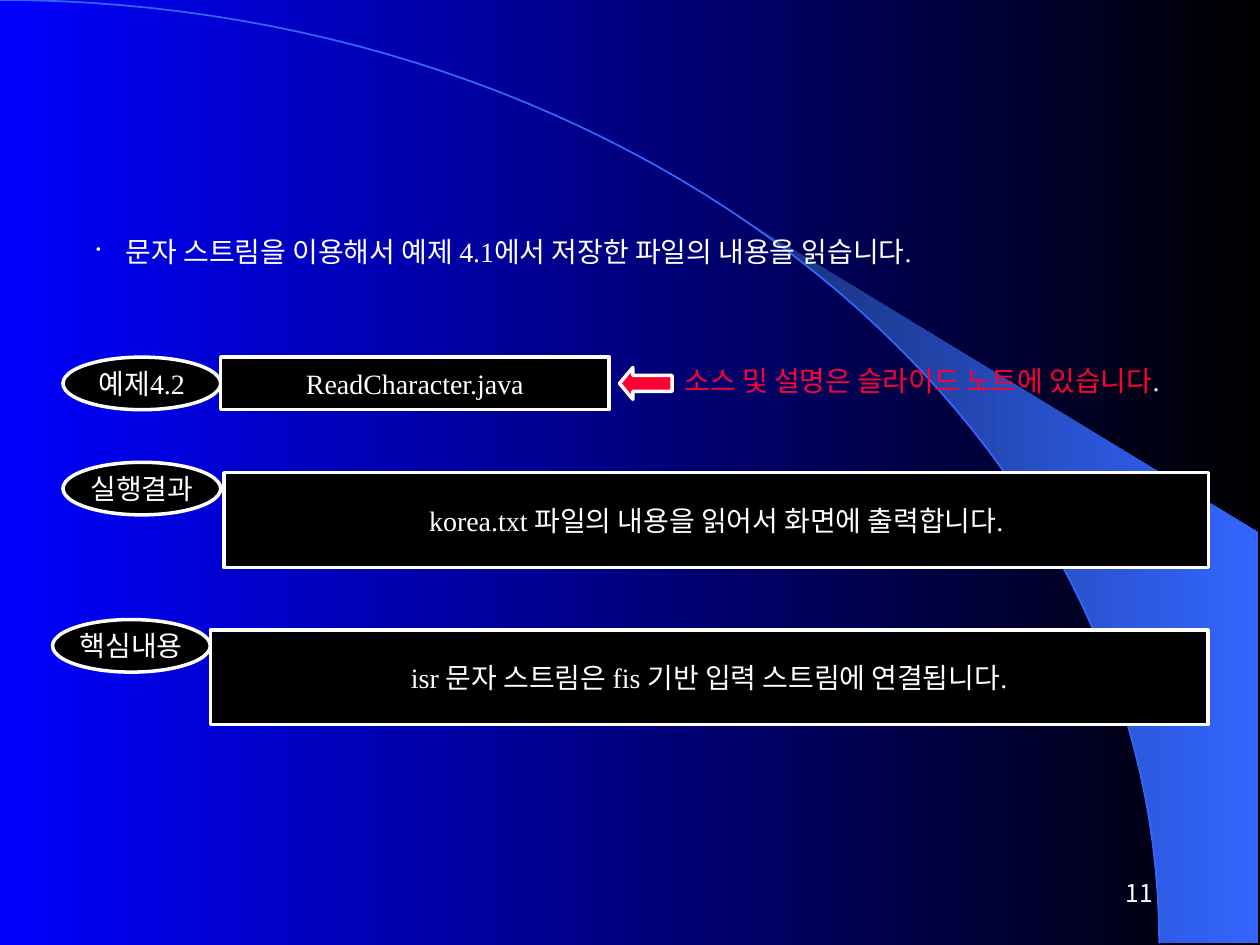
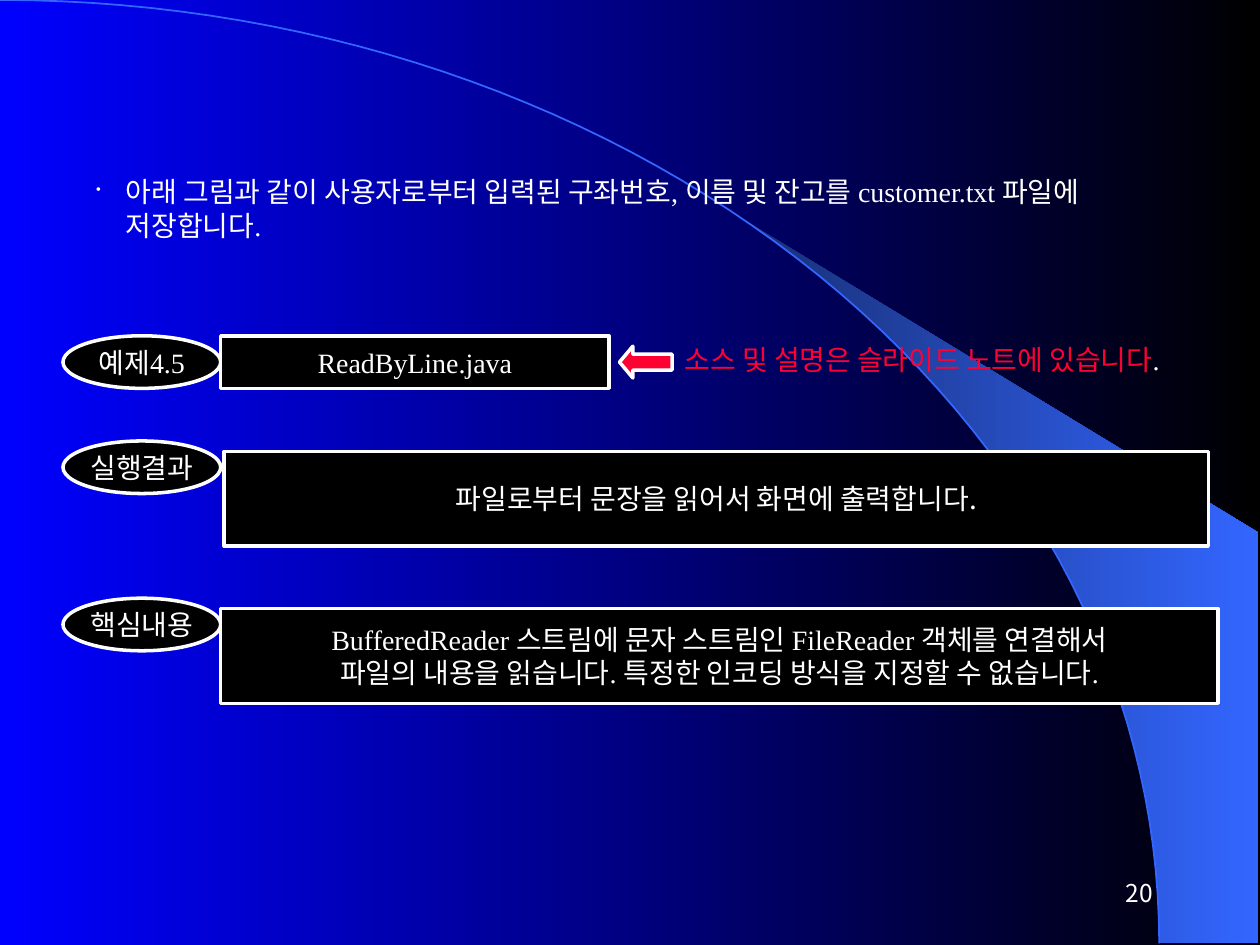
import math
from dataclasses import dataclass

from lxml import etree
from pptx import Presentation
from pptx.dml.color import RGBColor
from pptx.enum.shapes import MSO_SHAPE
from pptx.enum.text import MSO_ANCHOR, PP_ALIGN
from pptx.oxml.ns import qn
from pptx.util import Cm, Length, Pt

ELLIPSE = MSO_SHAPE.OVAL
RECTANGLE = MSO_SHAPE.RECTANGLE
LEFT_ARROW = MSO_SHAPE.LEFT_ARROW
TOP, MIDDLE = MSO_ANCHOR.TOP, MSO_ANCHOR.MIDDLE
LEFT, CENTER, RIGHT = PP_ALIGN.LEFT, PP_ALIGN.CENTER, PP_ALIGN.RIGHT


@dataclass(frozen=True)
class Theme:
    blue: RGBColor = RGBColor(0x00, 0x00, 0xFF)
    black: RGBColor = RGBColor(0x00, 0x00, 0x00)
    white: RGBColor = RGBColor(0xFF, 0xFF, 0xFF)
    red: RGBColor = RGBColor(0xFF, 0x00, 0x33)
    navy: RGBColor = RGBColor(0x18, 0x2F, 0x76)
    sky: RGBColor = RGBColor(0x33, 0x66, 0xFF)
    latin_font: str = "Times New Roman"
    korean_font: str = "Noto Sans CJK KR"
    body_size: Length = Pt(16)
    number_size: Length = Pt(14)
    outline: Length = Pt(2)
    arc_line: Length = Pt(1)


THEME = Theme()


@dataclass(frozen=True)
class Box:
    left: Length
    top: Length
    width: Length
    height: Length

    def edges(self) -> tuple[Length, Length, Length, Length]:
        return self.left, self.top, self.width, self.height


@dataclass(frozen=True)
class Run:
    text: str
    color: RGBColor = THEME.white
    font: str = THEME.latin_font
    size: Length = THEME.body_size


@dataclass(frozen=True)
class ExampleSlide:
    number: str
    summary: str
    summary_top: Length
    summary_height: Length
    example: str
    source_file: str
    rows_top: Length
    result: Run
    key_points: list[str]
    key_shift: Length = Cm(0)


EXAMPLES = [
    ExampleSlide(
        number="11",
        summary="문자 스트림을 이용해서 예제 4.1에서 저장한 파일의 내용을 읽습니다.",
        summary_top=Cm(4.6),
        summary_height=Cm(0.94),
        example="예제4.2",
        source_file="ReadCharacter.java",
        rows_top=Cm(7.2),
        result=Run("korea.txt 파일의 내용을 읽어서 화면에 출력합니다."),
        key_points=["isr 문자 스트림은 fis 기반 입력 스트림에 연결됩니다."],
        key_shift=Cm(-0.21),
    ),
    ExampleSlide(
        number="20",
        summary="아래 그림과 같이 사용자로부터 입력된 구좌번호, 이름 및 잔고를 "
                "customer.txt 파일에 저장합니다.",
        summary_top=Cm(3.39),
        summary_height=Cm(1.62),
        example="예제4.5",
        source_file="ReadByLine.java",
        rows_top=Cm(6.77),
        result=Run("파일로부터 문장을 읽어서 화면에 출력합니다.", font=THEME.korean_font),
        key_points=[
            "BufferedReader 스트림에 문자 스트림인 FileReader 객체를 연결해서",
            "파일의 내용을 읽습니다. 특정한 인코딩 방식을 지정할 수 없습니다.",
        ],
    ),
]

ARC_WIDTH, ARC_HEIGHT = Cm(23.37), Cm(19.02)
BAND_RIGHT, BAND_RIGHT_TOP = Cm(25.37), Cm(10.74)
BAND_START = math.asin(0.64)

BADGE_LEFT, BADGE_WIDTH, ROW_HEIGHT = Cm(1.27), Cm(3.18), Cm(1.06)
PANEL_LEFT = BADGE_LEFT + BADGE_WIDTH
PANEL_HEIGHT = Cm(1.91)
STEP_DOWN = Cm(0.21)
RESULT_OFFSET, KEY_OFFSET = Cm(2.12), Cm(5.29)


def fill_gradient(fill, first: RGBColor, last: RGBColor) -> None:
    fill.gradient()
    fill.gradient_angle = 0
    for stop, color, position in zip(fill.gradient_stops, (first, last), (0, 1)):
        stop.color.rgb = color
        stop.position = position


def write_text(shape, paragraphs: list[list[Run]], alignment, anchor=MIDDLE, wrap=True) -> None:
    frame = shape.text_frame
    frame_format = {
        "word_wrap": wrap,
        "vertical_anchor": anchor,
        "margin_left": Cm(0.25),
        "margin_right": Cm(0.25),
        "margin_top": Cm(0.13),
        "margin_bottom": Cm(0.13),
    }
    for name, value in frame_format.items():
        setattr(frame, name, value)
    for index, runs in enumerate(paragraphs):
        paragraph = frame.add_paragraph() if index else frame.paragraphs[0]
        paragraph.alignment = alignment
        for item in runs:
            run = paragraph.add_run()
            run.text = item.text
            for name, value in {"name": item.font, "size": item.size}.items():
                setattr(run.font, name, value)
            run.font.color.rgb = item.color
            east_asian = etree.SubElement(run.font._element, qn("a:ea"))
            east_asian.set("typeface", THEME.korean_font)


def add_text(slide, box: Box, runs: list[Run], alignment=LEFT, anchor=TOP):
    shape = slide.shapes.add_textbox(*box.edges())
    write_text(shape, [runs], alignment, anchor)
    return shape


def add_bullet(paragraph) -> None:
    """Give the paragraph a half-size white dot and a hanging indent."""
    properties = paragraph._p.get_or_add_pPr()
    properties.set("marL", str(Cm(0.6)))
    properties.set("indent", str(-Cm(0.6)))
    color = etree.SubElement(properties, qn("a:buClr"))
    etree.SubElement(color, qn("a:srgbClr")).set("val", str(THEME.white))
    etree.SubElement(properties, qn("a:buSzPct")).set("val", "50000")
    etree.SubElement(properties, qn("a:buChar")).set("char", "•")


def add_outlined(slide, kind, box: Box, fill: RGBColor = THEME.black):
    shape = slide.shapes.add_shape(kind, *box.edges())
    shape.shadow.inherit = False
    shape.fill.solid()
    shape.fill.fore_color.rgb = fill
    shape.line.color.rgb = THEME.white
    shape.line.width = THEME.outline
    return shape


def add_label(slide, kind, box: Box, lines: list[Run]) -> None:
    shape = add_outlined(slide, kind, box)
    write_text(shape, [[line] for line in lines], CENTER, wrap=False)


def add_row(slide, badge: str, lines: list[Run], badge_left: Length, top: Length,
            panel: Box) -> None:
    """Draw an oval badge with the panel it names."""
    add_label(slide, ELLIPSE, Box(badge_left, top, BADGE_WIDTH, ROW_HEIGHT), [Run(badge)])
    add_label(slide, RECTANGLE, panel, lines)


def arc_points(start: float, steps: int = 60) -> list[tuple[float, float]]:
    """Points on the large ellipse, from the start angle down to the right end."""
    angles = [start + (math.pi / 2 - start) * step / steps for step in range(steps + 1)]
    return [(ARC_WIDTH * math.sin(angle), ARC_HEIGHT * (1 - math.cos(angle)))
            for angle in angles]


def add_outline(slide, points: list[tuple[float, float]], close: bool):
    builder = slide.shapes.build_freeform(*points[0])
    builder.add_line_segments(points[1:], close=close)
    shape = builder.convert_to_shape()
    shape.shadow.inherit = False
    return shape


def add_swoosh(slide) -> None:
    corners = [(BAND_RIGHT, ARC_HEIGHT), (BAND_RIGHT, BAND_RIGHT_TOP)]
    band = add_outline(slide, arc_points(BAND_START) + corners, close=True)
    fill_gradient(band.fill, THEME.navy, THEME.sky)
    band.line.fill.background()
    arc = add_outline(slide, arc_points(0), close=False)
    arc.fill.background()
    arc.line.color.rgb = THEME.sky
    arc.line.width = THEME.arc_line


def add_source_note(slide, top: Length) -> None:
    note = [Run("소스 및 설명은 슬라이드 노트에 있습니다", THEME.red), Run(".")]
    add_text(slide, Box(Cm(13.55), top, Cm(11.22), Cm(0.94)), note)
    arrow_box = Box(Cm(12.49), top + STEP_DOWN, Cm(1.06), Cm(0.64))
    arrow = add_outlined(slide, LEFT_ARROW, arrow_box, THEME.red)
    for index, value in enumerate((0.5, 0.42)):
        arrow.adjustments[index] = value


def build_slide(presentation, content: ExampleSlide) -> None:
    slide = presentation.slides.add_slide(presentation.slide_layouts[6])
    add_swoosh(slide)
    number_box = Box(Cm(18.2), Cm(17.36), Cm(5.29), Cm(1.27))
    number = Run(content.number, font=THEME.korean_font, size=THEME.number_size)
    add_text(slide, number_box, [number], RIGHT, MIDDLE)

    summary_box = Box(Cm(1.69), content.summary_top, Cm(21.59), content.summary_height)
    summary = add_text(slide, summary_box, [Run(content.summary)])
    add_bullet(summary.text_frame.paragraphs[0])

    top = content.rows_top
    add_row(slide, content.example, [Run(content.source_file)], BADGE_LEFT, top,
            Box(PANEL_LEFT, top, Cm(7.83), ROW_HEIGHT))
    add_source_note(slide, top)

    result_top = top + RESULT_OFFSET
    add_row(slide, "실행결과", [content.result], BADGE_LEFT, result_top,
            Box(Cm(4.52), result_top + STEP_DOWN, Cm(19.84), PANEL_HEIGHT))

    key_top = top + KEY_OFFSET
    add_row(slide, "핵심내용", [Run(line) for line in content.key_points],
            BADGE_LEFT + content.key_shift, key_top,
            Box(PANEL_LEFT + content.key_shift, key_top + STEP_DOWN, Cm(20.11), PANEL_HEIGHT))


def main() -> None:
    presentation = Presentation()
    presentation.slide_width = Cm(25.4)
    presentation.slide_height = Cm(19.05)
    fill_gradient(presentation.slide_master.background.fill, THEME.blue, THEME.black)
    for content in EXAMPLES:
        build_slide(presentation, content)
    presentation.save("out.pptx")


if __name__ == "__main__":
    main()
